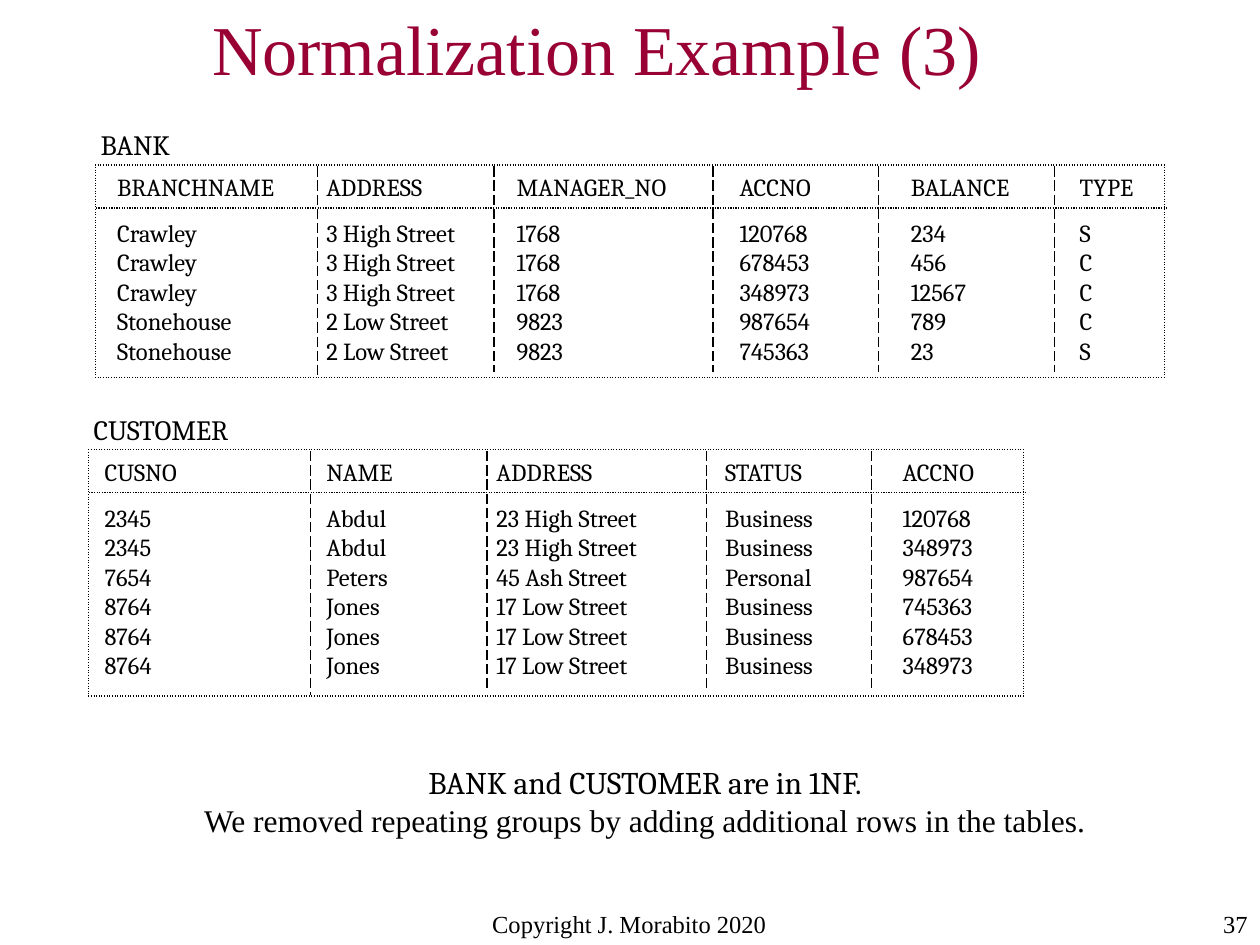
import pptx
import pptx.util
import pptx.dml.color
import pptx.enum.dml
import pptx.enum.shapes
import pptx.enum.text
import pptx.oxml
import pptx.oxml.ns

WIDE, HIGH = pptx.util.Inches(10), pptx.util.Inches(7.5)
COLS, ROWS = 100, 75
COLORS = {"ink": "000000", "title": "990033"}
SERIF, BODY = "Times New Roman", "Cambria"
ALIGN = pptx.enum.text.PP_ALIGN
ANCHOR = pptx.enum.text.MSO_ANCHOR
DASH = pptx.enum.dml.MSO_LINE

HEAD, LINE, GAP = 3.4, 2.33, 1  # table rows and padding, in grid rows

BANK = [
    "BRANCHNAME ADDRESS MANAGER_NO ACCNO BALANCE TYPE".split(),
    ["Crawley", "3 High Street", "1768", "120768", "234", "S"],
    ["Crawley", "3 High Street", "1768", "678453", "456", "C"],
    ["Crawley", "3 High Street", "1768", "348973", "12567", "C"],
    ["Stonehouse", "2 Low Street", "9823", "987654", "789", "C"],
    ["Stonehouse", "2 Low Street", "9823", "745363", "23", "S"],
]
CUSTOMER = [
    "CUSNO NAME ADDRESS STATUS ACCNO".split(),
    ["2345", "Abdul", "23 High Street", "Business", "120768"],
    ["2345", "Abdul", "23 High Street", "Business", "348973"],
    ["7654", "Peters", "45 Ash Street", "Personal", "987654"],
    ["8764", "Jones", "17 Low Street", "Business", "745363"],
    ["8764", "Jones", "17 Low Street", "Business", "678453"],
    ["8764", "Jones", "17 Low Street", "Business", "348973"],
]


def across(n):
    return round(WIDE * n / COLS)


def down(n):
    return round(HIGH * n / ROWS)


def ink(color):
    return pptx.dml.color.RGBColor.from_string(COLORS[color])


def style(para, size, font, color="ink", align=ALIGN.LEFT):
    para.alignment = align
    for run in para.runs:
        run.font.size = pptx.util.Pt(size)
        run.font.name = font
        run.font.color.rgb = ink(color)


def add_text(slide, box, lines, size, color="ink", align=ALIGN.LEFT, anchor=ANCHOR.TOP):
    """Place a text box; lines are pairs of text and font."""
    x, y, w, h = box
    frame = slide.shapes.add_textbox(across(x), down(y), across(w), down(h)).text_frame
    frame.word_wrap = True
    frame.vertical_anchor = anchor
    frame.text = "\n".join(text for text, _ in lines)
    for para, (_, font) in zip(frame.paragraphs, lines):
        style(para, size, font, color, align)


def add_rule(slide, start, stop, dash):
    rule = slide.shapes.add_connector(
        pptx.enum.shapes.MSO_CONNECTOR.STRAIGHT,
        across(start[0]), down(start[1]), across(stop[0]), down(stop[1]))
    rule.line.color.rgb = ink("ink")
    rule.line.width = pptx.util.Pt(0.75)
    rule.line.dash_style = dash
    props = rule._element.spPr
    props.append(props.makeelement(pptx.oxml.ns.qn("a:effectLst"), {}))


def set_edges(cell, shown):
    """Dot the left, right, top and bottom edges that are shown; clear the others."""
    props = cell._tc.get_or_add_tcPr()
    for place, (side, seen) in enumerate(zip("LRTB", shown)):
        paint = "<a:noFill/>"
        if seen:
            paint = (f'<a:solidFill><a:srgbClr val="{COLORS["ink"]}"/></a:solidFill>'
                     '<a:prstDash val="sysDot"/>')
        edge = pptx.oxml.parse_xml(
            f'<a:ln{side} {pptx.oxml.ns.nsdecls("a")} w="{pptx.util.Pt(0.75)}">'
            f"{paint}</a:ln{side}>")
        props.insert(place, edge)


def add_relation(slide, box, name, rows, widths, pads):
    """Place a captioned table; widths and pads are in grid columns."""
    x, y, w, h = box
    add_text(slide, (x - 0.6, y - 3.45, 20, 3.7), [(name, BODY)], 16)
    last, end = len(rows) - 1, len(widths) - 1
    table = slide.shapes.add_table(
        len(rows), len(widths), across(x), down(y), across(w), down(h)).table
    table.first_row = table.horz_banding = False
    for col, width in zip(table.columns, widths):
        col.width = across(width)

    heights = [HEAD, GAP + LINE] + [LINE] * (last - 1)
    heights[last] += h - sum(heights)
    for r, row in enumerate(rows):
        table.rows[r].height = down(heights[r])
        for c, text in enumerate(row):
            cell = table.cell(r, c)
            cell.fill.background()
            cell.margin_left, cell.margin_right = across(pads[c]), 0
            cell.margin_top = down({0: 0.75, 1: GAP}.get(r, 0))
            cell.margin_bottom = 0
            cell.vertical_anchor = ANCHOR.TOP
            cell.text = text
            style(cell.text_frame.paragraphs[0], 14, BODY)
            set_edges(cell, (c == 0, c == end, r == 0, r == last))

    add_rule(slide, (x, y + HEAD), (x + w + 0.2, y + HEAD), DASH.ROUND_DOT)
    for c in range(1, end + 1):
        edge = x + sum(widths[:c])
        foot = y + h - (0.4 if c > 1 else 0)
        add_rule(slide, (edge, y + 0.1), (edge, foot), DASH.LONG_DASH)


def add_footer(slide, box):
    x, y, w, h = box
    add_text(slide, (x + 0.341 * w, y, 0.317 * w, h),
             [("Copyright J. Morabito 2020", SERIF)], 14, align=ALIGN.CENTER)
    add_text(slide, (x + 0.858 * w, y, 0.142 * w, h), [("37", SERIF)], 14,
             align=ALIGN.RIGHT)


def main():
    deck = pptx.Presentation()
    deck.slide_width, deck.slide_height = WIDE, HIGH
    slide = deck.slides.add_slide(deck.slide_layouts[6])
    add_footer(slide, (0, 71.65, COLS, 3.3))
    add_text(slide, (15.85, 0.9, 84.15, 5.8), [("Normalization Example (3)", SERIF)],
             40, "title", anchor=ANCHOR.MIDDLE)
    shared = [17.6, 14, 17.4, 13.1]
    add_relation(slide, (7.6, 13.1, 84.8, 16.8), "BANK", BANK,
                 shared + [14, 8.7], [1.7, 0.7, 1.8, 2.1, 2.6, 2])
    add_relation(slide, (7.05, 35.7, 74.2, 19.5), "CUSTOMER", CUSTOMER,
                 shared + [12.1], [1.25, 1.25, 0.75, 1.5, 2.5])
    add_text(slide, (15.1, 60.05, 72.2, 7), [
        ("BANK and CUSTOMER are in 1NF.", BODY),
        ("We removed repeating groups by adding additional rows in the tables.", SERIF),
    ], 18, align=ALIGN.CENTER)
    deck.save("out.pptx")


if __name__ == "__main__":
    main()
